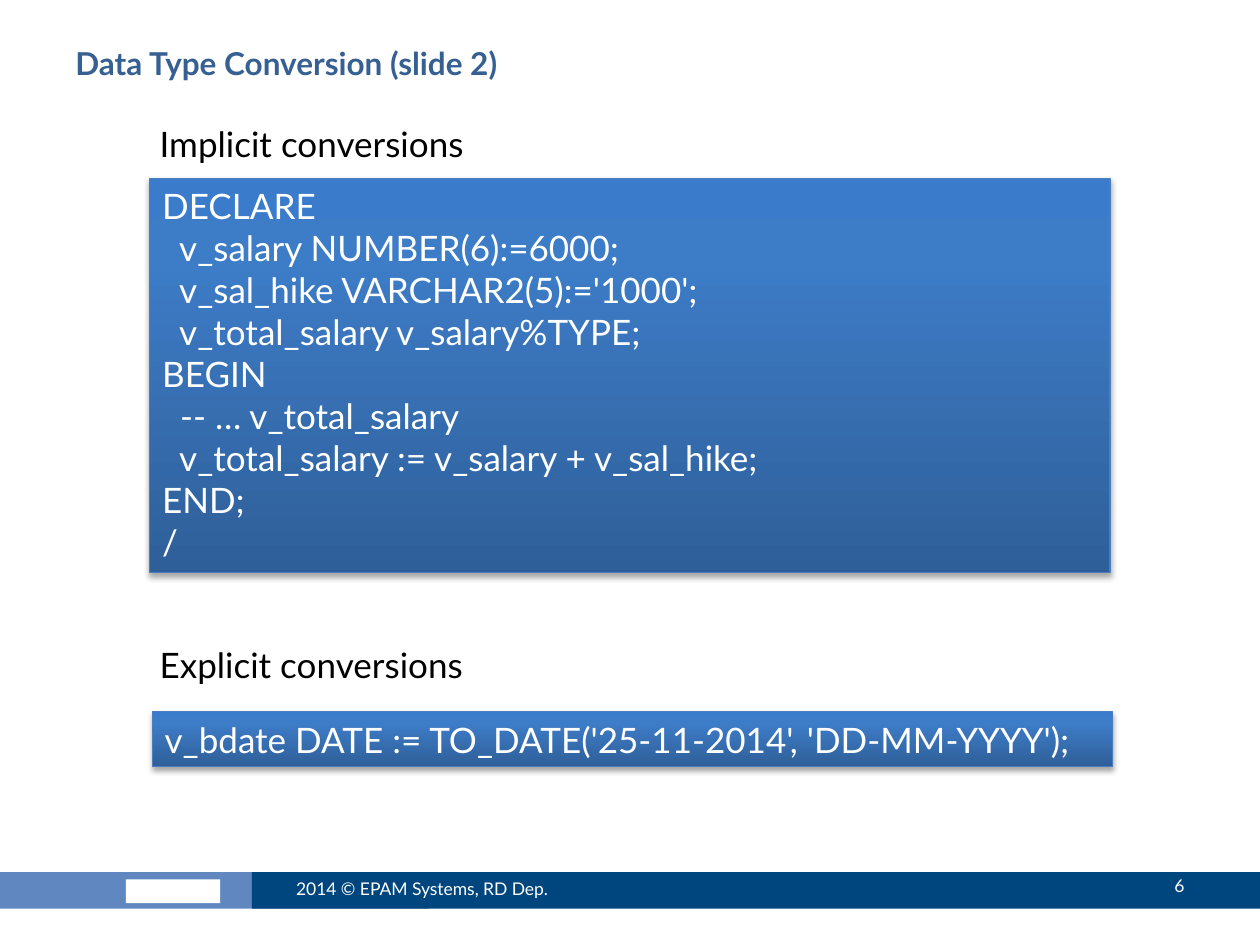
from dataclasses import dataclass

from lxml import etree
from pptx import Presentation
from pptx import util as u
from pptx.dml.color import RGBColor
from pptx.enum import shapes, text
from pptx.oxml import parse_xml
from pptx.oxml.ns import nsdecls

COLORS = {
    "title": "376092",
    "body": "000000",
    "white": "FFFFFF",
    "footer_left": "6087BF",
    "footer_right": "00467E",
    "code_line": "4B7EBC",
    "code_dark": "2F5F99",
    "code_mid": "3D7CC7",
    "code_light": "3A7CCB",
    "shadow": "000000",
}
FONT = "Lato"
CODE_STOPS = ((0, "code_dark"), (80, "code_mid"), (100, "code_light"))

IMPLICIT_CODE = """DECLARE
  v_salary NUMBER(6):=6000;
  v_sal_hike VARCHAR2(5):='1000';
  v_total_salary v_salary%TYPE;
BEGIN
  -- … v_total_salary
  v_total_salary := v_salary + v_sal_hike;
END;
/"""
EXPLICIT_CODE = "v_bdate DATE := TO_DATE('25-11-2014', 'DD-MM-YYYY');"


@dataclass(frozen=True)
class Area:
    left: float
    top: float
    width: float
    height: float

    def lengths(self) -> tuple:
        return tuple(u.Cm(v) for v in (self.left, self.top, self.width, self.height))


@dataclass(frozen=True)
class Label:
    area: Area
    wording: str
    size: int
    color: str
    bold: bool = False
    align: text.PP_ALIGN = text.PP_ALIGN.LEFT
    anchor: text.MSO_ANCHOR = text.MSO_ANCHOR.TOP


@dataclass(frozen=True)
class Bar:
    area: Area
    color: str


@dataclass(frozen=True)
class CodePanel:
    area: Area
    code: str


BARS = (
    Bar(Area(-0.05, 17.58, 8.71, 0.74), "footer_left"),
    Bar(Area(2.54, 17.73, 1.9, 0.48), "white"),
    Bar(Area(5.08, 17.58, 20.32, 0.74), "footer_right"),
)
LABELS = (
    Label(Area(1.27, 0.76, 22.86, 1.98), "Data Type Conversion (slide 2)", 18, "title", bold=True),
    Label(Area(5.72, 17.4, 6.78, 1.02), "2014 © EPAM Systems, RD Dep.", 10, "white",
          anchor=text.MSO_ANCHOR.MIDDLE),
    Label(Area(21.39, 17.35, 2.74, 1.02), "6", 10, "white",
          align=text.PP_ALIGN.RIGHT, anchor=text.MSO_ANCHOR.MIDDLE),
    Label(Area(2.97, 2.34, 7.62, 1.11), "Implicit conversions", 20, "body"),
    Label(Area(2.97, 12.85, 7.62, 1.11), "Explicit conversions", 20, "body"),
)
PANELS = (
    CodePanel(Area(3.02, 3.6, 19.36, 7.95), IMPLICIT_CODE),
    CodePanel(Area(3.07, 14.35, 19.36, 1.11), EXPLICIT_CODE),
)


def rgb(name: str) -> RGBColor:
    return RGBColor.from_string(COLORS[name])


def write(frame, wording: str, size: int, color: str, bold: bool = False,
          align: text.PP_ALIGN = text.PP_ALIGN.LEFT) -> None:
    frame.word_wrap = True
    for index, line in enumerate(wording.split("\n")):
        para = frame.add_paragraph() if index else frame.paragraphs[0]
        para.add_run().text = line
        para.alignment = align
        para.font.name = FONT
        para.font.size = u.Pt(size)
        para.font.bold = bold
        para.font.color.rgb = rgb(color)


def draw_label(page, label: Label) -> None:
    box = page.shapes.add_textbox(*label.area.lengths())
    box.text_frame.vertical_anchor = label.anchor
    write(box.text_frame, label.wording, label.size, label.color, label.bold, label.align)


def add_rectangle(page, area: Area):
    box = page.shapes.add_shape(shapes.MSO_SHAPE.RECTANGLE, *area.lengths())
    box.shadow.inherit = False
    return box


def draw_bar(page, bar: Bar) -> None:
    box = add_rectangle(page, bar.area)
    box.fill.solid()
    box.fill.fore_color.rgb = rgb(bar.color)
    box.line.fill.background()


def set_gradient(box) -> None:
    box.fill.gradient()
    box.fill.gradient_angle = 90
    stops = box.fill.gradient_stops
    stop_list = box.element.spPr.find(".//{*}gsLst")
    for stop in list(stop_list)[:len(stops)]:
        stop_list.remove(stop)
    for percent, name in CODE_STOPS:
        stop_list.append(parse_xml(
            f'<a:gs {nsdecls("a")} pos="{percent * 1000}">'
            f'<a:srgbClr val="{COLORS[name]}"/></a:gs>'))
    box.element.spPr.find(".//{*}lin").set("ang", str(270 * 60000))


def set_shadow(box) -> None:
    effects = box.element.spPr.find("{*}effectLst")
    shadow = parse_xml(
        f'<a:outerShdw {nsdecls("a")} blurRad="{u.Pt(3.1)}" dist="{u.Pt(1.8)}" '
        f'dir="{90 * 60000}" rotWithShape="0"/>')
    color = etree.SubElement(shadow, effects.tag.replace("effectLst", "srgbClr"))
    color.set("val", COLORS["shadow"])
    alpha = etree.SubElement(color, effects.tag.replace("effectLst", "alpha"))
    alpha.set("val", "35000")
    effects.append(shadow)


def draw_code(page, panel: CodePanel) -> None:
    box = add_rectangle(page, panel.area)
    set_gradient(box)
    box.line.color.rgb = rgb("code_line")
    box.line.width = u.Pt(0.75)
    set_shadow(box)
    box.text_frame.vertical_anchor = text.MSO_ANCHOR.TOP
    write(box.text_frame, panel.code, 20, "white")


def main() -> None:
    deck = Presentation()
    deck.slide_width, deck.slide_height = u.Cm(25.4), u.Cm(19.05)
    page = deck.slides.add_slide(deck.slide_layouts[6])
    for bar in BARS:
        draw_bar(page, bar)
    for label in LABELS:
        draw_label(page, label)
    for panel in PANELS:
        draw_code(page, panel)
    deck.save("out.pptx")


if __name__ == "__main__":
    main()
